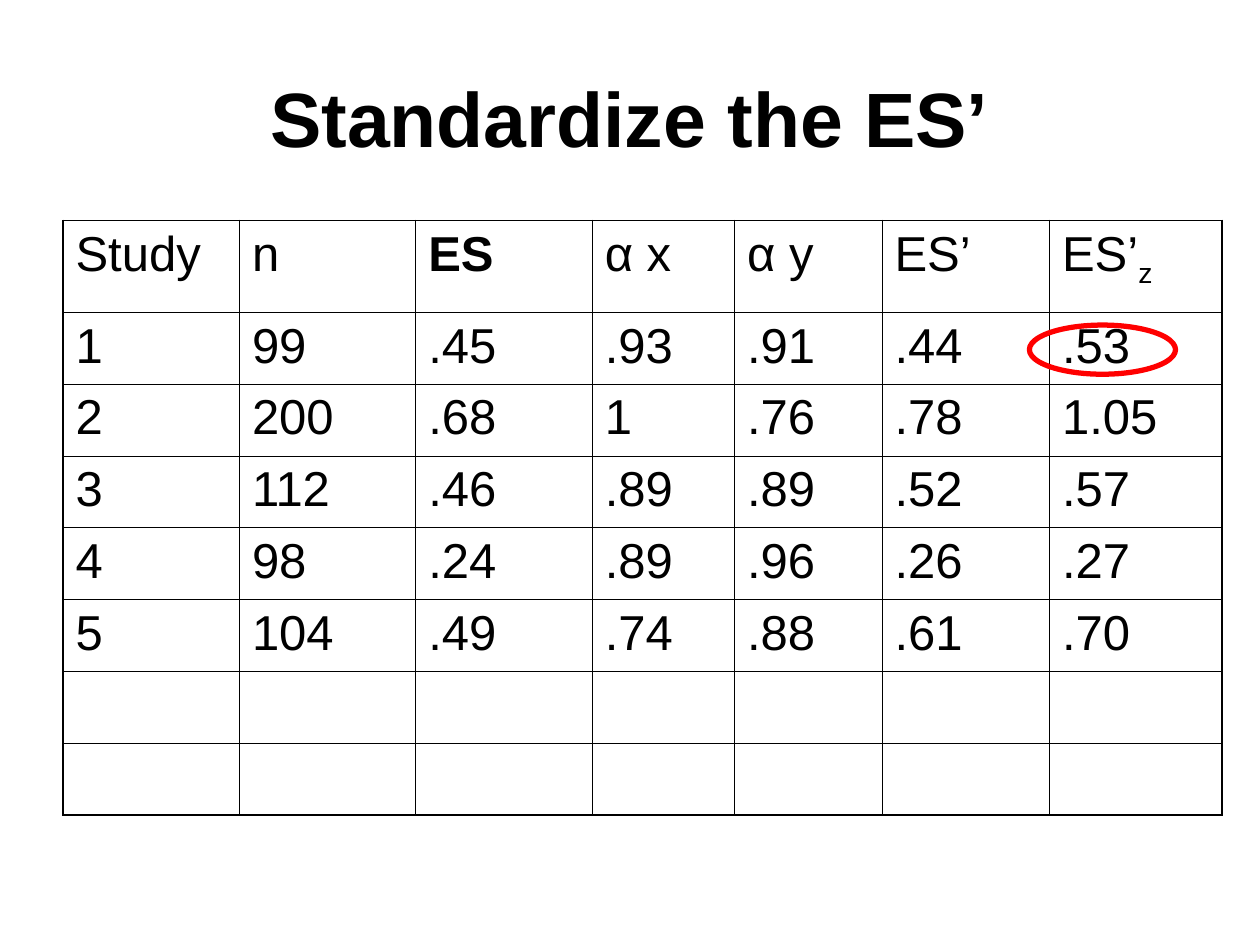
from lxml import etree
from pptx import Presentation, util as u
from pptx.dml import color
from pptx.enum import shapes, text
from pptx.oxml import ns

BLACK, RED = "000000", "FF0000"
INNER_LINE, OUTER_LINE = 0.45, 1.08
COLUMN_WIDTHS = [1.4, 1.4, 1.4, 1.13, 1.17, 1.33, 1.37]
ROW_HEIGHTS = [0.73] + [0.57] * 7
TABLE_LEFT, TABLE_TOP = 0.5, 1.75
STUDIES = [
    ["Study", "n", "ES", "α x", "α y", "ES’", "ES’"],
    ["1", "99", ".45", ".93", ".91", ".44", ".53"],
    ["2", "200", ".68", "1", ".76", ".78", "1.05"],
    ["3", "112", ".46", ".89", ".89", ".52", ".57"],
    ["4", "98", ".24", ".89", ".96", ".26", ".27"],
    ["5", "104", ".49", ".74", ".88", ".61", ".70"],
]


def rgb(hex_color):
    return color.RGBColor.from_string(hex_color)


def inches(*lengths):
    return [u.Inches(length) for length in lengths]


def add_run(paragraph, content, **formats):
    run = paragraph.add_run()
    run.text = content
    for name, value in {"name": "Arial", "size": u.Pt(28), "bold": False, **formats}.items():
        setattr(run.font, name, value)
    run.font.color.rgb = rgb(BLACK)
    return run


def add_title(slide, content):
    title = slide.shapes.title
    title.left, title.top, title.width, title.height = inches(0.5, 0.3, 9, 1.25)
    title.text_frame.vertical_anchor = text.MSO_ANCHOR.MIDDLE
    paragraph = title.text_frame.paragraphs[0]
    paragraph.alignment = text.PP_ALIGN.CENTER
    add_run(paragraph, content, size=u.Pt(44), bold=True)


def set_borders(cell, widths):
    properties = cell._tc.get_or_add_tcPr()
    for side, width in widths.items():
        line = etree.SubElement(properties, ns.qn(f"a:ln{side}"), w=str(u.Pt(width)))
        fill = etree.SubElement(line, ns.qn("a:solidFill"))
        etree.SubElement(fill, ns.qn("a:srgbClr"), val=BLACK)


def add_study_table(slide):
    row_count, column_count = len(ROW_HEIGHTS), len(COLUMN_WIDTHS)
    table = slide.shapes.add_table(
        row_count, column_count,
        *inches(TABLE_LEFT, TABLE_TOP, sum(COLUMN_WIDTHS), sum(ROW_HEIGHTS))).table
    table.first_row = table.horz_banding = False
    for column, width in zip(table.columns, COLUMN_WIDTHS):
        column.width = u.Inches(width)
    for row, height in zip(table.rows, ROW_HEIGHTS):
        row.height = u.Inches(height)

    for row in range(row_count):
        for column in range(column_count):
            cell = table.cell(row, column)
            on_edge = {"L": column == 0, "R": column == column_count - 1,
                       "T": row == 0, "B": row == row_count - 1}
            set_borders(cell, {side: OUTER_LINE if outer else INNER_LINE
                               for side, outer in on_edge.items()})
            cell.fill.background()
            if row < len(STUDIES):
                content = STUDIES[row][column]
                add_run(cell.text_frame.paragraphs[0], content, bold=content == "ES")

    subscript = add_run(table.cell(0, column_count - 1).text_frame.paragraphs[0], "z")
    subscript.font._element.set("baseline", "-25000")


def add_highlight(slide):
    """Ring the first standardized effect size."""
    ring = slide.shapes.add_shape(shapes.MSO_SHAPE.OVAL, *inches(8.17, 2.58, 1.16, 0.39))
    ring.shadow.inherit = False
    ring.fill.background()
    ring.line.color.rgb = rgb(RED)
    ring.line.width = u.Pt(3)


def main():
    presentation = Presentation()
    presentation.slide_width, presentation.slide_height = inches(10, 7.5)
    slide = presentation.slides.add_slide(presentation.slide_layouts.get_by_name("Title Only"))
    add_title(slide, "Standardize the ES’")
    add_study_table(slide)
    add_highlight(slide)
    presentation.save("out.pptx")


if __name__ == "__main__":
    main()
